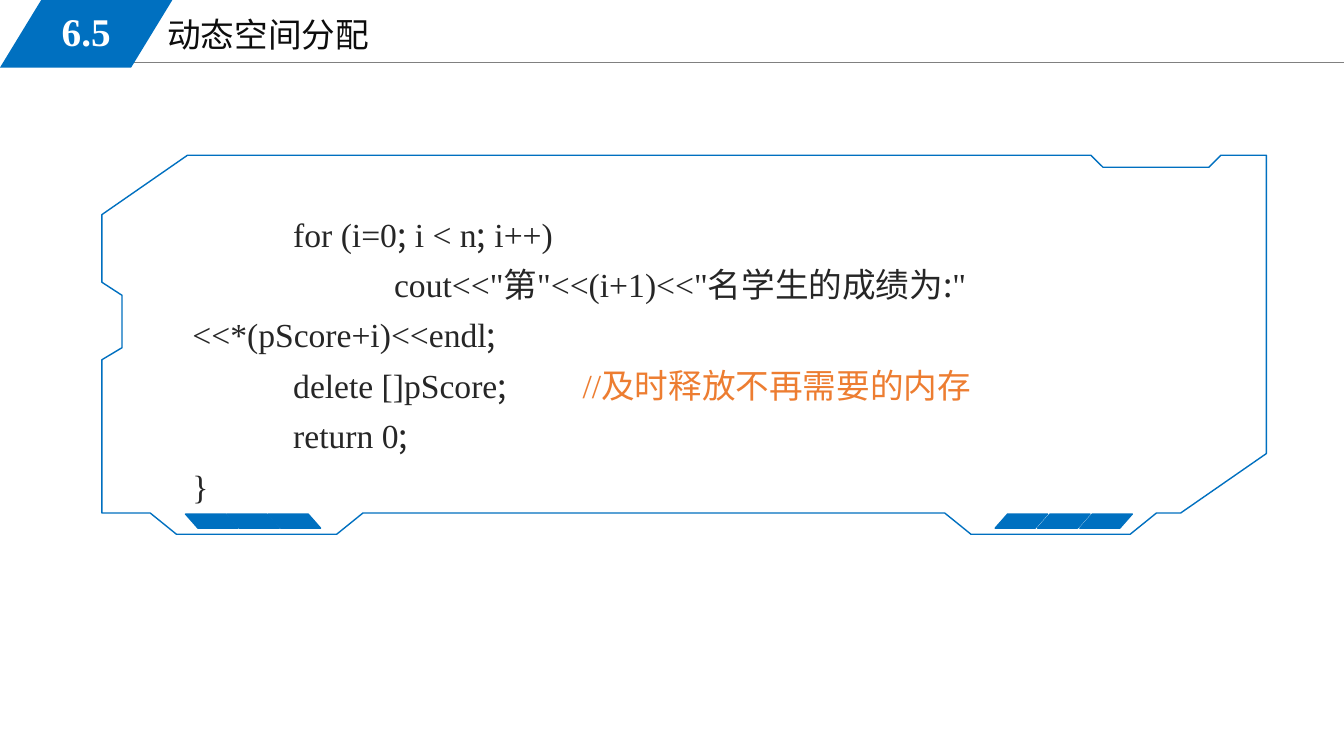
from dataclasses import dataclass
from itertools import groupby

from lxml.etree import SubElement
from pptx import Presentation
from pptx.dml.color import RGBColor
from pptx.enum.shapes import MSO_CONNECTOR, MSO_SHAPE
from pptx.enum.text import MSO_ANCHOR, MSO_AUTO_SIZE, PP_ALIGN
from pptx.oxml.ns import qn
from pptx.shapes.autoshape import Shape
from pptx.slide import Slide
from pptx.text.text import TextFrame, _Paragraph
from pptx.util import Pt

PX = 9144  # EMU in one px, 100 px to the inch
BLUE = RGBColor(0x00, 0x70, 0xC0)
GRAY = RGBColor(0x80, 0x80, 0x80)
WHITE = RGBColor(0xFF, 0xFF, 0xFF)
TITLE_BLACK = RGBColor(0x0D, 0x0D, 0x0D)
CODE_BLACK = RGBColor(0x26, 0x26, 0x26)
COMMENT_ORANGE = RGBColor(0xED, 0x7D, 0x31)
LATIN_FONT = "Times New Roman"
PUNCTUATION_FONT = "Noto Sans CJK SC"
CODE_TAB_STOPS = (100, 200, 387)

FRAME_OUTLINE = (
    (963, 530), (1121, 530), (1147, 509), (1171, 509), (1256, 450), (1256, 154),
    (1211, 154), (1199, 166), (1094, 166), (1082, 154), (186, 154), (101, 213),
    (101, 280), (121, 293), (121, 345), (101, 357), (101, 509), (149, 509),
    (175, 530), (334, 530), (360, 509), (937, 509),
)


@dataclass(frozen=True)
class CodeLine:
    code: str
    comment: str = ""


@dataclass(frozen=True)
class StripeGroup:
    left: int
    pitch: int
    mirrored: bool


CODE_LINES = (
    CodeLine("\tfor (i=0; i < n; i++)"),
    CodeLine('\t\tcout<<"第"<<(i+1)<<"名学生的成绩为:" <<*(pScore+i)<<endl;'),
    CodeLine("\tdelete []pScore;\t", "//及时释放不再需要的内存"),
    CodeLine("\treturn 0;"),
    CodeLine("}"),
)
STRIPE_GROUPS = (StripeGroup(987, 42, False), StripeGroup(184, 41, True))


def format_heading(frame: TextFrame, text: str, size: int, color: RGBColor) -> _Paragraph:
    frame.auto_size = MSO_AUTO_SIZE.NONE
    frame.word_wrap = True
    paragraph = frame.paragraphs[0]
    paragraph.text = text
    paragraph.font.name = LATIN_FONT
    paragraph.font.size = Pt(size)
    paragraph.font.color.rgb = color
    return paragraph


def add_parallelogram(slide: Slide, left: int, top: int, width: int, height: int,
                      slant: float) -> Shape:
    shape = slide.shapes.add_shape(
        MSO_SHAPE.PARALLELOGRAM, left * PX, top * PX, width * PX, height * PX)
    shape.adjustments[0] = slant
    shape.shadow.inherit = False
    shape.fill.solid()
    shape.fill.fore_color.rgb = BLUE
    shape.line.fill.background()
    return shape


def add_header(slide: Slide) -> None:
    rule = slide.shapes.add_connector(
        MSO_CONNECTOR.STRAIGHT, 113 * PX, 62 * PX, 1333 * PX, 62 * PX)
    rule.line.color.rgb = GRAY
    rule.line.width = Pt(0.75)
    SubElement(rule.element.spPr, qn("a:effectLst"))

    title = slide.shapes.title
    title.left, title.top, title.width, title.height = 156 * PX, 9 * PX, 567 * PX, 51 * PX
    title.text_frame.vertical_anchor = MSO_ANCHOR.TOP
    format_heading(title.text_frame, "动态空间分配", 24, TITLE_BLACK).alignment = PP_ALIGN.LEFT

    add_parallelogram(slide, 0, 0, 171, 67, 0.61)
    number = slide.shapes.add_textbox(25 * PX, 2 * PX, 121 * PX, 58 * PX)
    number.text_frame.vertical_anchor = MSO_ANCHOR.MIDDLE
    paragraph = format_heading(number.text_frame, "6.5", 28, WHITE)
    paragraph.alignment = PP_ALIGN.CENTER
    paragraph.font.bold = True


def add_code_runs(paragraph: _Paragraph, line: CodeLine) -> None:
    """Colons and semicolons take the CJK font, all else the Latin one."""
    for is_mark, letters in groupby(line.code, lambda letter: letter in ":;"):
        run = paragraph.add_run()
        run.text = "".join(letters)
        run.font.name = PUNCTUATION_FONT if is_mark else LATIN_FONT
        run.font.color.rgb = CODE_BLACK
    if line.comment:
        run = paragraph.add_run()
        run.text = line.comment
        run.font.name = LATIN_FONT
        run.font.color.rgb = COMMENT_ORANGE


def add_code(slide: Slide) -> None:
    frame = slide.shapes.add_textbox(181 * PX, 197 * PX, 1065 * PX, 313 * PX).text_frame
    frame.word_wrap = True
    for index, line in enumerate(CODE_LINES):
        paragraph = frame.add_paragraph() if index else frame.paragraphs[0]
        tab_list = SubElement(paragraph._p.get_or_add_pPr(), qn("a:tabLst"))
        for stop in CODE_TAB_STOPS:
            SubElement(tab_list, qn("a:tab"), pos=str(stop * PX), algn="l")
        paragraph.line_spacing = 1.25
        paragraph.font.size = Pt(24)
        add_code_runs(paragraph, line)


def add_frame(slide: Slide) -> None:
    builder = slide.shapes.build_freeform(*FRAME_OUTLINE[0], scale=PX)
    builder.add_line_segments(FRAME_OUTLINE[1:], close=True)
    outline = builder.convert_to_shape()
    outline.shadow.inherit = False
    outline.fill.background()
    outline.line.color.rgb = BLUE
    outline.line.width = Pt(1)


def add_stripes(slide: Slide, group: StripeGroup) -> None:
    for index in range(3):
        stripe = add_parallelogram(slide, group.left + index * group.pitch, 510, 52, 14, 0.88)
        stripe.line.color.rgb = BLUE
        stripe.line.width = Pt(1)
        if group.mirrored:
            stripe.element.spPr.find(qn("a:xfrm")).set("flipH", "1")


def main() -> None:
    presentation = Presentation()
    presentation.slide_width = 1333 * PX
    presentation.slide_height = 750 * PX
    title_only = presentation.slide_layouts[5]
    slide = presentation.slides.add_slide(title_only)
    add_header(slide)
    add_code(slide)
    add_frame(slide)
    for group in STRIPE_GROUPS:
        add_stripes(slide, group)
    presentation.save("out.pptx")


if __name__ == "__main__":
    main()
